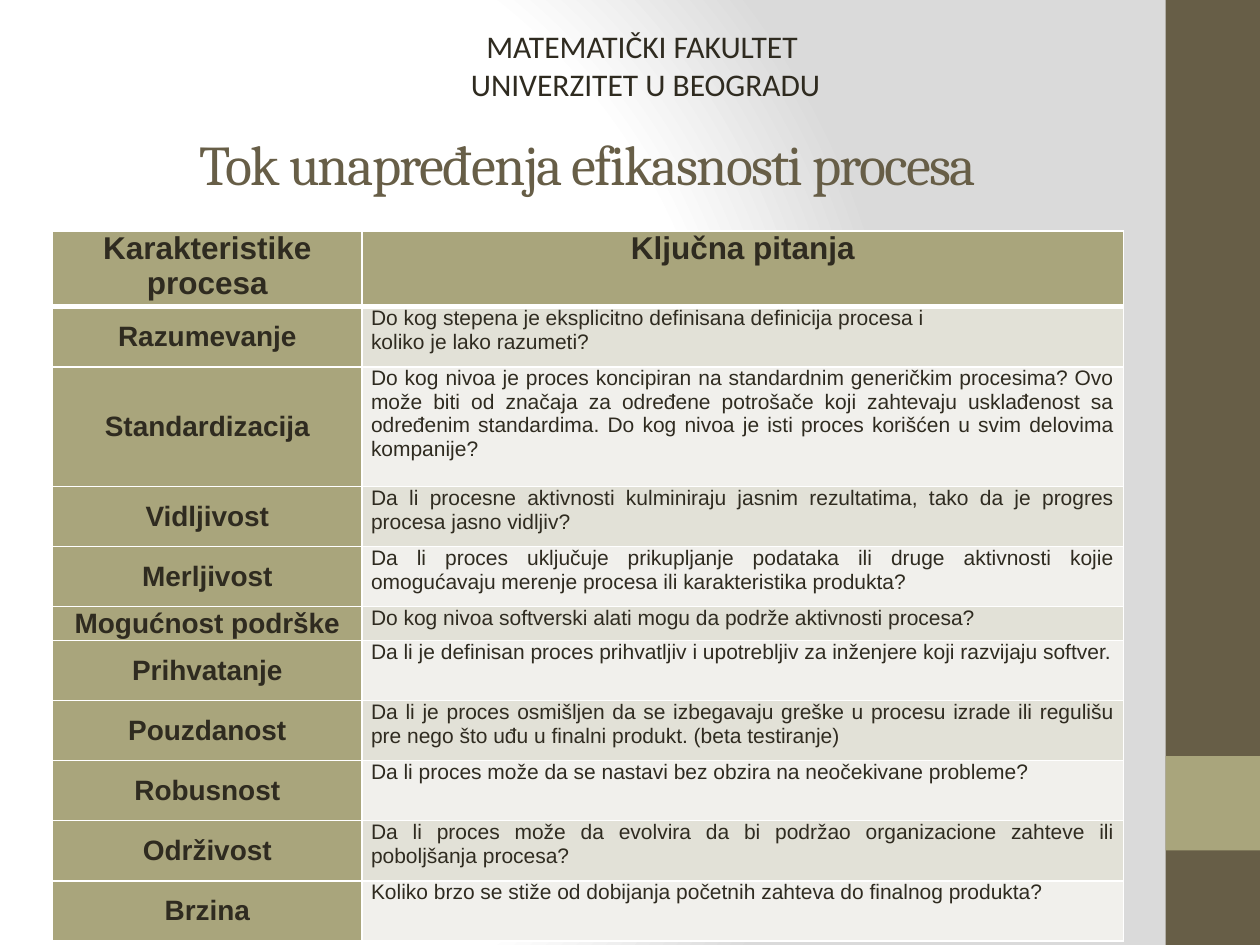
from pptx import Presentation
from pptx.dml.color import RGBColor
from pptx.enum.shapes import MSO_SHAPE as Shape
from pptx.enum.text import MSO_ANCHOR as Anchor, MSO_AUTO_SIZE as AutoSize, PP_ALIGN as Align
from pptx.oxml import parse_xml
from pptx.oxml.ns import nsdecls
from pptx.util import Inches, Pt

INK, OLIVE, BROWN, WHITE = "2F2B20", "A9A57C", "675E47", "FFFFFF"
BANDS = ["E2E1D7", "F1F0EC"]

deck = Presentation()
deck.slide_width, deck.slide_height = Inches(10), Inches(7.5)
slide = deck.slides.add_slide(deck.slide_layouts[6])
unit = deck.slide_width / 120


def grid(*steps):
    return [round(step * unit) for step in steps]


def write(frame, lines, align, color, **formats):
    frame.text = "\n".join(lines)
    for paragraph in frame.paragraphs:
        paragraph.alignment = align
        for run in paragraph.runs:
            run.font.color.rgb = RGBColor.from_string(color)
            for name, value in formats.items():
                setattr(run.font, name, value)


stops = "".join(
    f'<a:gs pos="{share * 1000}"><a:srgbClr val="{color}"/></a:gs>'
    for share, color in [(0, WHITE), (75, WHITE), (100, "DADADA")]
)
backdrop = parse_xml(
    f'<p:bg {nsdecls("p", "a")}><p:bgPr><a:gradFill rotWithShape="1"><a:gsLst>{stops}</a:gsLst>'
    '<a:path path="circle"><a:fillToRect l="20000" t="50000" r="100000" b="50000"/></a:path>'
    '</a:gradFill><a:effectLst/></p:bgPr></p:bg>'
)
slide.element.cSld.insert(0, backdrop)

for top, height, color in [(0, 90, BROWN), (72, 9, OLIVE)]:
    strip = slide.shapes.add_shape(Shape.RECTANGLE, *grid(111, top, 9, height))
    strip.shadow.inherit = False
    strip.fill.solid()
    strip.fill.fore_color.rgb = RGBColor.from_string(color)
    strip.line.fill.background()

title = slide.shapes.add_textbox(*grid(6, 8, 100, 15)).text_frame
title.word_wrap = True
title.vertical_anchor = Anchor.MIDDLE
write(title, ["Tok unapređenja efikasnosti procesa"], Align.CENTER, BROWN, size=Pt(32), name="Cambria")
title.paragraphs[0].runs[0].font._element.set("spc", "-100")

questions = [
    ("Karakteristike procesa", ["Ključna pitanja"], 3.6),
    ("Razumevanje", ["Do kog stepena je eksplicitno definisana definicija procesa i",
                     "koliko je lako razumeti?"], 5.73),
    ("Standardizacija", ["Do kog nivoa je proces koncipiran na standardnim generičkim procesima? "
                         "Ovo može biti od značaja za određene potrošače koji zahtevaju usklađenost "
                         "sa određenim standardima. Do kog nivoa je isti proces korišćen u svim "
                         "delovima kompanije?"], 11.4),
    ("Vidljivost", ["Da li procesne aktivnosti kulminiraju jasnim rezultatima, tako da je progres "
                    "procesa jasno vidljiv?"], 5.73),
    ("Merljivost", ["Da li proces uključuje prikupljanje podataka ili druge aktivnosti kojie "
                    "omogućavaju merenje procesa ili karakteristika produkta?"], 5.73),
    ("Mogućnost podrške", ["Do kog nivoa softverski alati mogu da podrže aktivnosti procesa?"], 3.2),
    ("Prihvatanje", ["Da li je definisan proces prihvatljiv i upotrebljiv za inženjere koji "
                     "razvijaju softver."], 5.73),
    ("Pouzdanost", ["Da li je proces osmišljen da se izbegavaju greške u procesu izrade ili regulišu "
                    "pre nego što uđu u finalni produkt. (beta testiranje)"], 5.73),
    ("Robusnost", ["Da li proces može da se nastavi bez obzira na neočekivane probleme?"], 5.73),
    ("Održivost", ["Da li proces može da evolvira da bi podržao organizacione zahteve ili "
                   "poboljšanja procesa?"], 5.73),
    ("Brzina", ["Koliko brzo se stiže od dobijanja početnih zahteva do finalnog produkta?"], 5.73),
]
table = slide.shapes.add_table(len(questions), 2, *grid(5, 22, 102, 64)).table
for column, width in zip(table.columns, grid(29.5, 72.5)):
    column.width = width

for row, (trait, question, height) in enumerate(questions):
    table.rows[row].height = grid(height)[0]
    for col, lines in enumerate([[trait], question]):
        cell = table.cell(row, col)
        heading = row == 0 or col == 0
        size = 18 if row == 0 else 16 if heading else 12
        layout = {
            "margin_left": Inches(0.07), "margin_right": Inches(0.07),
            "margin_top": 0, "margin_bottom": 0,
            "vertical_anchor": Anchor.MIDDLE if row and heading else Anchor.TOP,
        }
        for name, value in layout.items():
            setattr(cell, name, value)
        write(cell.text_frame, lines, Align.CENTER if heading else Align.JUSTIFY, INK,
              size=Pt(size), name="Arial", bold=heading)
        for side in "LRTB":
            thick = (row, side) in [(0, "B"), (1, "T")]
            cell._tc.get_or_add_tcPr().append(parse_xml(
                f'<a:ln{side} {nsdecls("a")} w="{Pt(3 if thick else 1)}"><a:solidFill>'
                f'<a:srgbClr val="{WHITE}"/></a:solidFill></a:ln{side}>'
            ))
        cell.fill.solid()
        cell.fill.fore_color.rgb = RGBColor.from_string(OLIVE if heading else BANDS[(row - 1) % 2])

faculty = slide.shapes.add_textbox(*grid(23, 2, 77, 8.5)).text_frame
faculty.word_wrap = True
faculty.auto_size = AutoSize.SHAPE_TO_FIT_TEXT
write(faculty, ["MATEMATIČKI FAKULTET ", "UNIVERZITET U BEOGRADU"], Align.CENTER, INK,
      size=Pt(18), name="Calibri")

deck.save("out.pptx")
